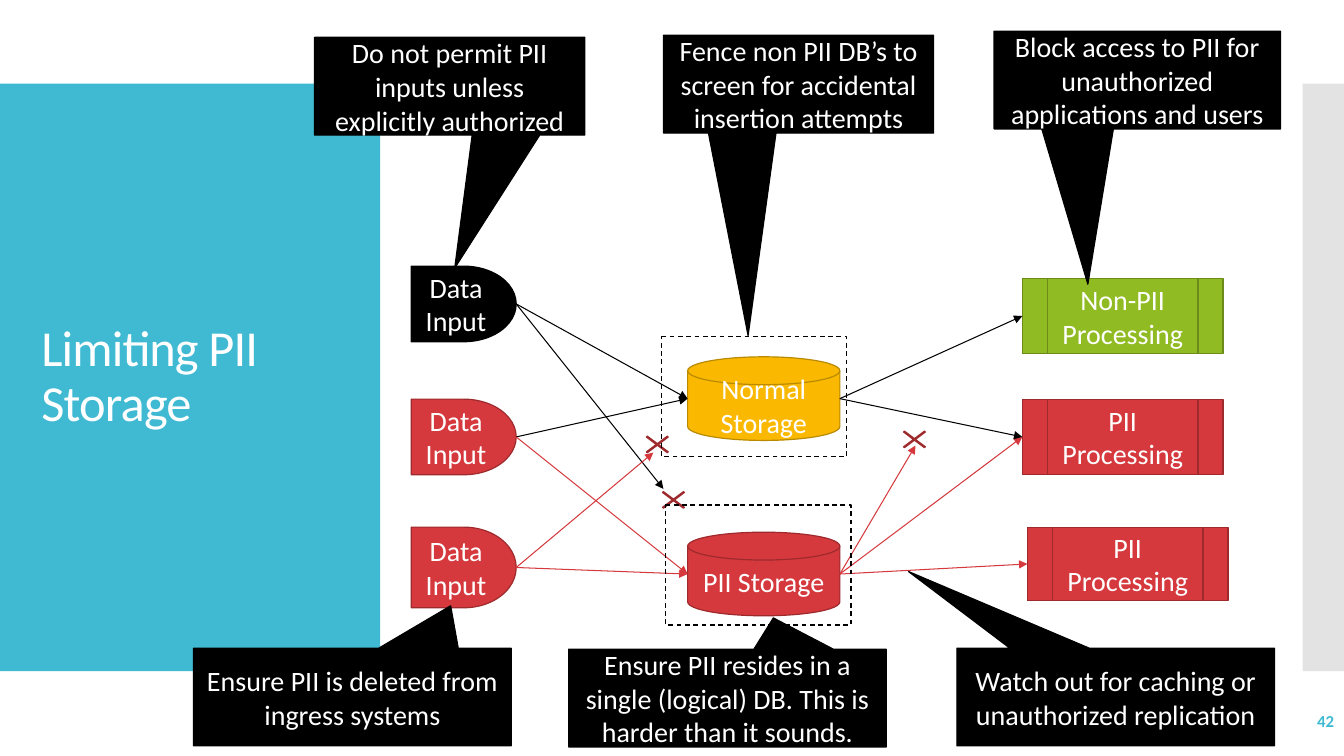
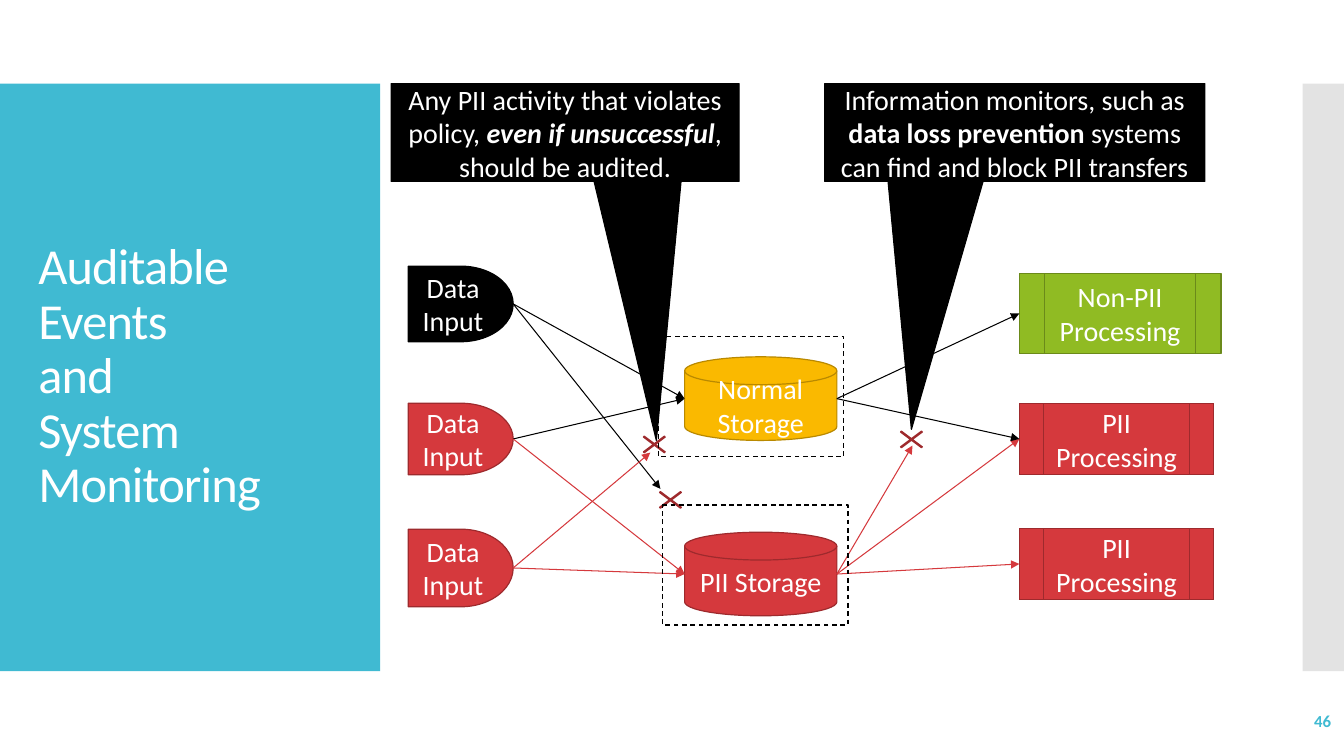
from dataclasses import dataclass

from lxml import etree
from pptx import Presentation
from pptx import util as u
from pptx.dml import color
from pptx.enum import dml, shapes, text
from pptx.oxml import ns

SHAPE = shapes.MSO_SHAPE


@dataclass(frozen=True)
class Theme:
    font: str = "Calibri"
    title_size: float = 36
    body_size: float = 20
    number_size: float = 12
    outline: float = 0.85
    arrow: float = 0.75
    white: str = "FFFFFF"
    black: str = "000000"
    teal: str = "40BAD2"
    grey: str = "C8C8C8"
    red: str = "D5393D"
    dark_red: str = "9E2A2D"
    yellow: str = "FAB900"
    dark_yellow: str = "B98900"
    green: str = "90BB23"
    dark_green: str = "6B8A1A"


THEME = Theme()
BLACK = (THEME.black, THEME.black)
RED = (THEME.red, THEME.dark_red)
YELLOW = (THEME.yellow, THEME.dark_yellow)
GREEN = (THEME.green, THEME.dark_green)


def rgb(value):
    return color.RGBColor.from_string(value)


def left_edge(box):
    return box.left, box.top + box.height // 2


def right_edge(box):
    return box.left + box.width, box.top + box.height // 2


class Deck:
    columns, rows = 13.33, 7.5

    def __init__(self):
        self.presentation = Presentation()
        self.presentation.slide_width = self.cells(self.columns)
        self.presentation.slide_height = self.cells(self.rows)
        self.layout = self.presentation.slide_layouts[5]
        self.slide = None

    def cells(self, count):
        return u.Inches(count)

    def place(self, *lengths):
        return [self.cells(length) for length in lengths]

    def add_slide(self, title, left, number):
        first = self.slide is None
        self.slide = self.presentation.slides.add_slide(self.layout)
        if first:
            self.shared_band(0, 3.77, THEME.teal, 100, 20)
            self.shared_band(12.92, 0.42, THEME.grey, 50, 21)
        self.title(title, left)
        self.page_number(number, left + 11.35)

    def shared_band(self, left, width, fill, opacity, shape_id):
        band = self.shape(SHAPE.RECTANGLE, (left, 0.83, width, 5.83), (fill, None))
        tint = band.element.find(".//" + ns.qn("a:srgbClr"))
        etree.SubElement(tint, ns.qn("a:alpha")).set("val", str(opacity * 1000))
        band.element.nvSpPr.cNvPr.set("id", str(shape_id))
        self.layout.shapes.element.append(band.element)

    def title(self, lines, left):
        heading = self.slide.shapes.title
        heading.left, heading.top, heading.width, heading.height = self.place(left, 1.23, 3.22, 5.03)
        frame = heading.text_frame
        frame.auto_size = text.MSO_AUTO_SIZE.NONE
        frame.vertical_anchor = text.MSO_ANCHOR.MIDDLE
        paragraph = frame.paragraphs[0]
        paragraph.alignment = text.PP_ALIGN.LEFT
        paragraph.line_spacing = 0.9
        for index, line in enumerate(lines):
            if index:
                paragraph.add_line_break()
            run = self.add_words(paragraph, line, THEME.title_size, THEME.white)
            run.font._element.set("spc", "-60")

    def page_number(self, number, left):
        box = self.slide.shapes.add_textbox(*self.place(left, 6.95, 1.67, 0.4))
        self.label(box, [(number, "b")], text.PP_ALIGN.RIGHT, THEME.number_size, THEME.teal)

    def add_words(self, paragraph, words, size, ink, style=""):
        run = paragraph.add_run()
        run.text = words
        font = run.font
        font.name, font.size, font.color.rgb = THEME.font, u.Pt(size), rgb(ink)
        font.bold, font.italic = "b" in style, "i" in style
        return run

    def label(self, box, runs, align=text.PP_ALIGN.CENTER, size=THEME.body_size, ink=THEME.white):
        frame = box.text_frame
        frame.word_wrap = True
        frame.vertical_anchor = text.MSO_ANCHOR.MIDDLE
        paragraph = frame.paragraphs[0]
        paragraph.alignment = align
        for words, style in runs:
            self.add_words(paragraph, words, size, ink, style)

    def shape(self, kind, area, colours, caption=None):
        fill, edge = colours
        shape = self.slide.shapes.add_shape(kind, *self.place(*area))
        shape.shadow.inherit = False
        if fill:
            shape.fill.solid()
            shape.fill.fore_color.rgb = rgb(fill)
        else:
            shape.fill.background()
        if edge:
            shape.line.color.rgb = rgb(edge)
            shape.line.width = u.Pt(THEME.outline)
        else:
            shape.line.fill.background()
        if caption:
            self.label(shape, [(caption, "")])
        return shape

    def fence(self, left, top):
        fence = self.shape(SHAPE.FLOWCHART_PROCESS, (left, top, 1.84, 1.19), (None, THEME.black))
        fence.line.dash_style = dml.MSO_LINE.DASH

    def cross(self, left, top):
        cross = self.shape(SHAPE.MATH_MULTIPLY, (left, top, 0.4, 0.3), RED)
        cross.adjustments[0] = 0.041

    def arrow(self, start, end, ink):
        arrow = self.slide.shapes.add_connector(shapes.MSO_CONNECTOR.STRAIGHT, *start, *end)
        arrow.line.color.rgb = rgb(ink)
        arrow.line.width = u.Pt(THEME.arrow)
        outline = arrow.element.spPr.find(ns.qn("a:ln"))
        etree.SubElement(outline, ns.qn("a:tailEnd")).set("type", "triangle")
        etree.SubElement(arrow.element.spPr, ns.qn("a:effectLst"))

    def callout(self, left, top, width, tip, *runs):
        height = 0.97
        callout = self.shape(SHAPE.RECTANGULAR_CALLOUT, (left, top, width, height), BLACK)
        callout.adjustments[0] = (tip[0] - left) / width - 0.5
        callout.adjustments[1] = (tip[1] - top) / height - 0.5
        self.label(callout, runs)

    def data_flow(self, shift, input_rows, process_areas):
        pii_storage, normal_storage = [
            self.shape(SHAPE.FLOWCHART_MAGNETIC_DISK, (6.82 + shift, top, 1.51, 0.83), colours, caption)
            for top, colours, caption in ((5.28, RED, "PII Storage"), (3.54, YELLOW, "Normal Storage"))
        ]
        plain_input, mixed_input, pii_input = [
            self.shape(SHAPE.FLOWCHART_DELAY, (4.08 + shift, top, 1.04, height), colours, "Data Input")
            for (top, height), colours in zip(input_rows, (BLACK, RED, RED))
        ]
        non_pii, pii_upper, pii_lower = [
            self.shape(SHAPE.FLOWCHART_PREDEFINED_PROCESS, area, colours, caption)
            for area, colours, caption in zip(
                process_areas,
                (GREEN, RED, RED),
                ("Non-PII Processing", "PII Processing", "PII Processing"),
            )
        ]
        for source, target, ink in (
            (mixed_input, normal_storage, THEME.black),
            (plain_input, normal_storage, THEME.black),
            (mixed_input, pii_storage, THEME.red),
            (pii_input, pii_storage, THEME.red),
            (pii_storage, pii_upper, THEME.red),
            (pii_storage, pii_lower, THEME.red),
            (normal_storage, non_pii, THEME.black),
            (normal_storage, pii_upper, THEME.black),
        ):
            self.arrow(right_edge(source), left_edge(target), ink)
        for source, stop, cross, ink in (
            (plain_input, (6.58, 4.85), (6.48, 4.81), THEME.black),
            (pii_input, (6.48, 4.49), (6.32, 4.26), THEME.red),
            (pii_storage, (9.08, 4.42), (8.87, 4.21), THEME.red),
        ):
            self.arrow(right_edge(source), self.place(stop[0] + shift, stop[1]), ink)
            self.cross(cross[0] + shift, cross[1])
        self.fence(6.6 + shift, 5.01)
        self.fence(6.56 + shift, 3.34)


def limiting_storage(deck):
    deck.add_slide(["Limiting PII Storage"], 0.31, "42")
    deck.data_flow(
        0,
        [(2.64, 0.75), (3.96, 0.75), (5.23, 0.8)],
        [(10.14, 2.76, 1.99, 0.75), (10.14, 3.96, 1.99, 0.75), (10.19, 5.23, 1.99, 0.73)],
    )
    for left, top, width, tip, advice in (
        (3.12, 0.37, 2.68, (4.51, 2.66), "Do not permit PII inputs unless explicitly authorized"),
        (6.58, 0.35, 2.68, (7.42, 3.33), "Fence non PII DB’s to screen for accidental insertion attempts"),
        (9.86, 0.31, 2.84, (10.79, 2.82), "Block access to PII for unauthorized applications and users"),
        (1.92, 6.43, 3.15, (4.47, 6.01), "Ensure PII is deleted from ingress systems"),
        (5.64, 6.44, 3.15, (7.67, 6.13),
         "Ensure PII resides in a single (logical) DB. This is harder than it sounds."),
        (9.49, 6.43, 3.15, (9.01, 5.67), "Watch out for caching or unauthorized replication"),
    ):
        deck.callout(left, top, width, tip, (advice, ""))


def auditable_events(deck):
    deck.add_slide(["Auditable Events ", "and ", "System Monitoring"], 0.28, "46")
    deck.data_flow(
        -0.03,
        [(2.64, 0.75), (4, 0.71), (5.25, 0.77)],
        [(10.11, 2.71, 2, 0.8), (10.11, 4, 1.93, 0.71), (10.11, 5.24, 1.93, 0.71)],
    )
    deck.callout(
        3.88, 0.83, 3.45, (6.51, 4.37),
        ("Any PII activity that violates policy, ", ""),
        ("even if unsuccessful", "bi"),
        (", should be audited.", ""),
    )
    deck.callout(
        8.18, 0.83, 3.77, (9.04, 4.26),
        ("Information monitors, such as ", ""),
        ("data loss prevention", "b"),
        (" systems can find and block PII transfers", ""),
    )


def main():
    deck = Deck()
    limiting_storage(deck)
    auditable_events(deck)
    deck.presentation.save("out.pptx")


if __name__ == "__main__":
    main()
